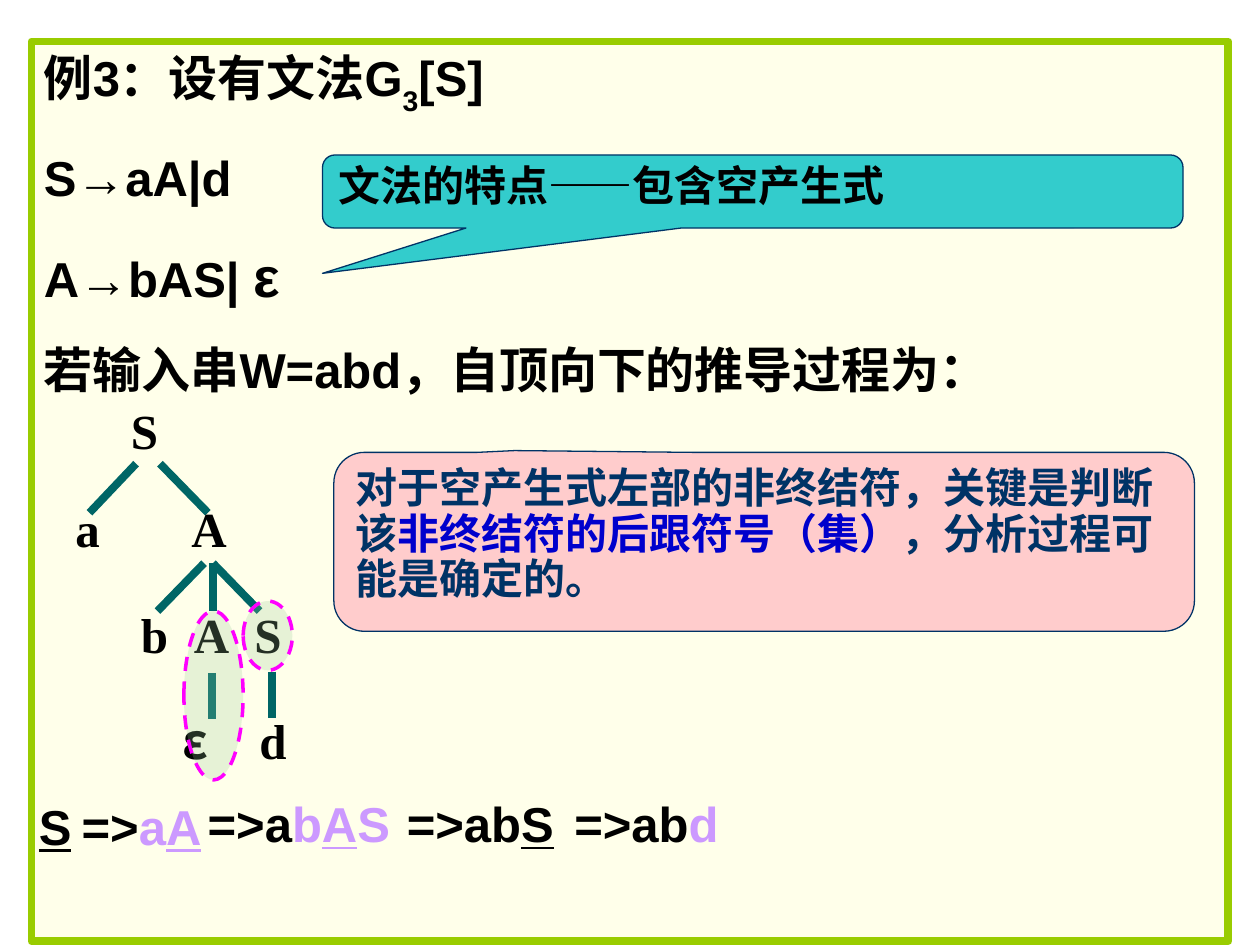
"""Build a slide deriving abd top-down from a grammar with an empty production."""
from pptx import Presentation
from pptx import util as u
from pptx.dml.color import RGBColor
from pptx.enum import dml, shapes, text
from pptx.oxml import ns
from lxml import etree

COLUMNS, ROWS = 100, 75
CELL = u.Inches(0.1)

BLACK = RGBColor(0x00, 0x00, 0x00)
CREAM = RGBColor(0xFF, 0xFF, 0x99)
LIME = RGBColor(0x99, 0xCC, 0x00)
TEAL = RGBColor(0x00, 0x66, 0x66)
LILAC = RGBColor(0xCC, 0x99, 0xFF)
TURQUOISE = RGBColor(0x33, 0xCC, 0xCC)
PINK = RGBColor(0xFF, 0xCC, 0xCC)
NAVY = RGBColor(0x00, 0x33, 0x66)
BLUE = RGBColor(0x00, 0x00, 0xCC)
SAGE = RGBColor(0x99, 0xCC, 0x99)
MAGENTA = RGBColor(0xFF, 0x00, 0xFF)

SANS, SERIF, CJK = "Arial", "Times New Roman", "Noto Sans CJK SC"

GRAMMAR = [
    (0, [("例3：设有文法G", {}), ("3", {"baseline": -30}), ("[S]", {})]),
    (17.5, [("S→aA|d", {})]),
    (20, [("A→bAS| ", {}), ("ε", {"size": 32})]),
    (17.5, [("若输入串W=abd，自顶向下的推导过程为：", {})]),
]

NODES = [
    ("S", 9.4, 31.3, SERIF),
    ("a", 5, 39.1, SERIF), ("A", 14.2, 39.1, SERIF),
    ("b", 10.2, 47.5, SERIF), ("A", 14.4, 47.5, SERIF), ("S", 19.2, 47.5, SERIF),
    ("ε", 13.5, 55.9, CJK), ("d", 19.6, 55.9, SERIF),
]

BRANCHES = [
    (10.8, 36.8, 7.1, 40.7), (12.7, 36.8, 16.5, 40.7),
    (16.2, 44.7, 12.5, 48.5), (16.9, 44.7, 16.9, 48.5), (16.9, 44.7, 20.6, 48.5),
    (16.8, 53.4, 16.8, 57.1), (21.6, 53.3, 21.6, 57),
]

LILAC_RUN = {"color": LILAC}
LILAC_TARGET = {"color": LILAC, "underline": True}
DERIVATION = [
    (2.1, 62.7, 4.7, [("S", {"underline": True})]),
    (5.5, 62.7, 11.6, [("=>", {}), ("a", LILAC_RUN), ("A", LILAC_TARGET)]),
    (15.5, 62.5, 16.6, [("=>a", {}), ("b", LILAC_RUN), ("A", LILAC_TARGET),
                        ("S", LILAC_RUN)]),
    (31.3, 62.5, 13.8, [("=>ab", {}), ("S", {"underline": True})]),
    (44.6, 62.5, 14.6, [("=>ab", {}), ("d", LILAC_RUN)]),
]


def cells(*counts):
    """Turn grid counts into slide lengths."""
    return [int(count * CELL) for count in counts]


def set_alpha(shape, percent):
    """Make a shape's solid fill partly transparent."""
    color = shape.fill._xPr.find(ns.qn("a:solidFill"))[0]
    etree.SubElement(color, ns.qn("a:alpha")).set("val", str(percent * 1000))


def write(paragraph, runs, size=28, font=SANS, color=BLACK):
    """Fill a bold paragraph with runs that list only their differences."""
    paragraph.alignment = text.PP_ALIGN.LEFT
    base = paragraph.font
    base.size, base.bold, base.name = u.Pt(size), True, font
    base.color.rgb = color
    latin = base._element.find(ns.qn("a:latin"))
    east_asian = etree.Element(ns.qn("a:ea"), typeface=CJK)
    latin.addnext(east_asian)
    for words, style in runs:
        run = paragraph.add_run()
        run.text = words
        if "color" in style:
            run.font.color.rgb = style["color"]
        if "underline" in style:
            run.font.underline = True
        if "size" in style:
            run.font.size = u.Pt(style["size"])
        if "baseline" in style:
            run.font._element.set("baseline", str(style["baseline"] * 1000))


def add_figure(slide, preset, place, fill, line, weight, alpha=100):
    """Add a filled, outlined preset shape whose text starts at the top."""
    figure = slide.shapes.add_shape(preset, *cells(*place))
    figure.shadow.inherit = False
    figure.fill.solid()
    figure.fill.fore_color.rgb = fill
    if alpha < 100:
        set_alpha(figure, alpha)
    figure.line.color.rgb = line
    figure.line.width = u.Pt(weight)
    figure.text_frame.word_wrap = True
    figure.text_frame.vertical_anchor = text.MSO_ANCHOR.TOP
    return figure


def add_grammar(slide):
    """Add the framed panel with the grammar and the question."""
    panel = add_figure(slide, shapes.MSO_SHAPE.RECTANGLE, (2.5, 3.3, 95, 71.4),
                       CREAM, LIME, 4.5, alpha=20)
    frame = panel.text_frame
    for index, (gap, runs) in enumerate(GRAMMAR):
        paragraph = frame.add_paragraph() if index else frame.paragraphs[0]
        if gap:
            paragraph.space_before = u.Pt(gap)
        write(paragraph, runs)


def add_label(slide, place, runs, font=SANS, wrap=True):
    """Add a one-line text box that grows with its text unless it wraps."""
    label = slide.shapes.add_textbox(*cells(*place))
    label.text_frame.word_wrap = wrap
    if not wrap:
        label.text_frame.auto_size = text.MSO_AUTO_SIZE.SHAPE_TO_FIT_TEXT
    write(label.text_frame.paragraphs[0], runs, font=font)


def add_branch(slide, ends):
    """Add a thick line between two levels of the tree."""
    branch = slide.shapes.add_connector(shapes.MSO_CONNECTOR.STRAIGHT, *cells(*ends))
    branch.line.color.rgb = TEAL
    branch.line.width = u.Pt(4.5)
    etree.SubElement(branch._element.spPr, ns.qn("a:effectLst"))


def add_callout(slide, place, tip, fill, runs, font, color):
    """Add a rounded speech bubble with its remark."""
    bubble = add_figure(slide, shapes.MSO_SHAPE.ROUNDED_RECTANGULAR_CALLOUT,
                        place, fill, NAVY, 0.75)
    for index, share in enumerate((*tip, 0.17)):
        bubble.adjustments[index] = share
    paragraph = bubble.text_frame.paragraphs[0]
    paragraph.line_spacing = 0.9
    write(paragraph, runs, 24, font, color)


def add_highlight(slide, place):
    """Ring part of the tree with a dashed translucent ellipse."""
    ring = add_figure(slide, shapes.MSO_SHAPE.OVAL, place, SAGE, MAGENTA, 2, alpha=24)
    ring.line.dash_style = dml.MSO_LINE.DASH


def main():
    """Build and save the slide."""
    deck = Presentation()
    deck.slide_width, deck.slide_height = cells(COLUMNS, ROWS)
    slide = deck.slides.add_slide(deck.slide_layouts[6])
    add_grammar(slide)
    for ends in BRANCHES:
        add_branch(slide, ends)
    for symbol, column, row, font in NODES:
        add_label(slide, (column, row, 5.6, 6), [(symbol, {})], font)
    for column, row, width, runs in DERIVATION:
        add_label(slide, (column, row, width, 5.7), runs, wrap=False)
    add_callout(slide, (25.6, 12.3, 68.3, 5.8), (-0.5, 1.12), TURQUOISE,
                [("文法的特点——包含空产生式", {})], SERIF, BLACK)
    add_callout(slide, (26.5, 35.9, 68.3, 14.2), (-0.29, -0.51), PINK,
                [("对于空产生式左部的非终结符，关键是判断该", {}),
                 ("非终结符的后跟符号（集）", {"color": BLUE}),
                 ("，分析过程可能是确定的。", {})], SANS, NAVY)
    for place in ((14.6, 48.5, 4.7, 13.4), (19.3, 47.7, 3.9, 5.5)):
        add_highlight(slide, place)
    deck.save("out.pptx")


if __name__ == "__main__":
    main()
